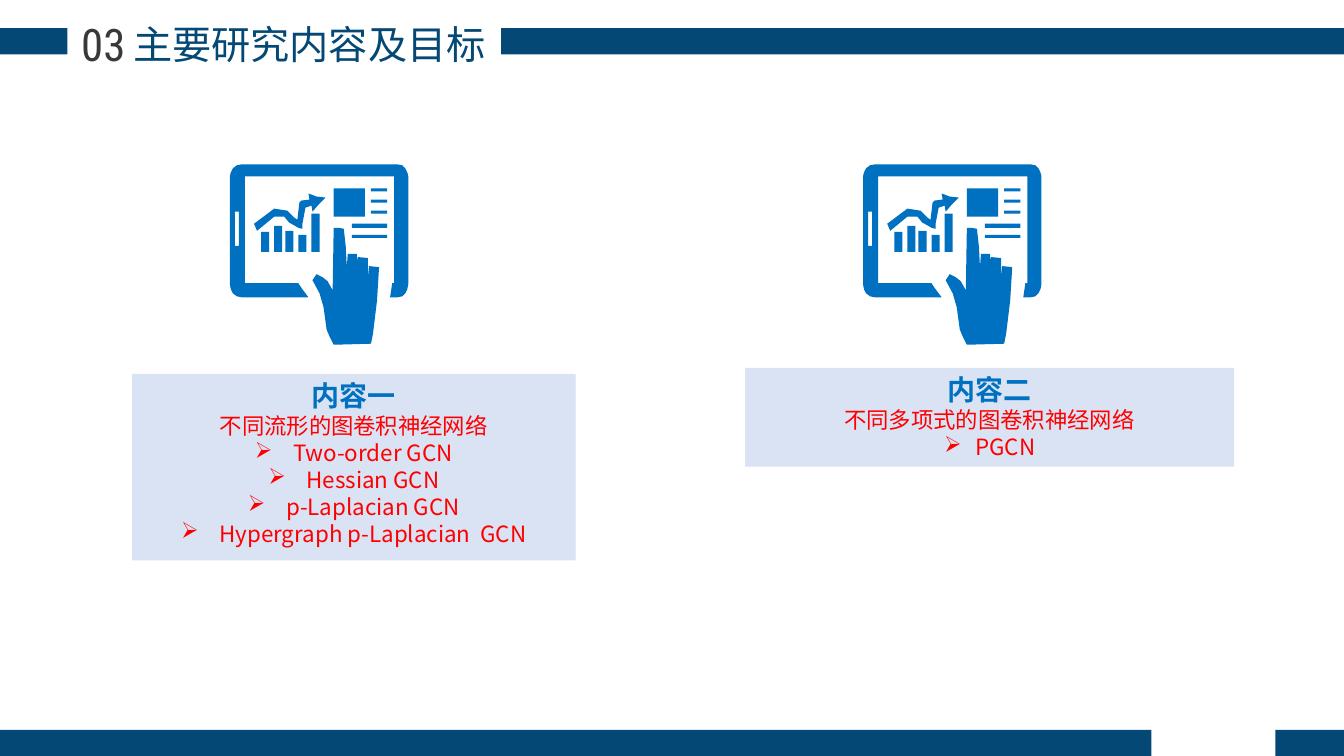
from lxml import etree
from pptx import Presentation
from pptx import util as u
from pptx.dml.color import RGBColor
from pptx.enum import shapes, text
from pptx.oxml.ns import qn

CJK, CONDENSED = "Noto Sans CJK SC", "Roboto Condensed"
NAVY, BLUE, PALE, RED, GREY = "044875", "0070C0", "DAE3F3", "FF0000", "3B3838"

TITLE = ("主要研究内容及目标", (1.22, 0.15, 3.7, 0.57), dict(size=28, name=CJK, color=NAVY))
NUMBER = ("03", (0.63, 0.11, 0.79, 0.64), dict(size=32, name=CONDENSED, color=GREY))
BARS = [(0, 0.28, 0.67, 0.26), (4.97, 0.28, 8.36, 0.26),
        (12.65, 7.24, 0.68, 0.26), (0, 7.24, 11.42, 0.26)]

TOPICS = [
    dict(heading="内容一", subject="不同流形的图卷积神经网络",
         models=["Two-order GCN", "Hessian GCN", "p-Laplacian GCN",
                 "Hypergraph p-Laplacian  GCN"],
         box=(1.31, 3.71, 4.4, 1.85), indent=0.38, icon_left=2.28),
    dict(heading="内容二", subject="不同多项式的图卷积神经网络", models=["PGCN"],
         box=(7.39, 3.65, 4.85, 0.98), indent=0.31, icon_left=8.56),
]
HEADING = dict(size=20, name=CJK, color=BLUE, bold=True)
DETAIL = dict(size=16, name=CJK, color=RED, bold=False)
LINE_RATIO = 1.2

# Tablet icon, in hundredths of an inch from its top left corner
ICON_TOP = 1.63
FRAME = [(12, 0), (166, 0), (171, 1), (174, 4), (176, 8), (177, 12), (177, 119),
         (176, 124), (174, 128), (171, 131), (166, 132), (159, 132), (161, 118),
         (163, 118), (163, 12), (15, 12), (15, 118), (68, 118), (72, 124), (78, 132),
         (12, 132), (7, 131), (3, 128), (1, 124), (0, 119), (0, 12), (1, 8), (3, 4), (7, 1)]
TREND_ARROW = [(24, 59), (27, 66), (44, 52), (54, 52), (59, 58), (61, 59), (68, 63),
               (72, 64), (72, 59), (75, 43), (81, 41), (82, 47), (88, 40), (95, 33),
               (86, 32), (78, 29), (79, 35), (71, 36), (69, 38), (67, 55), (64, 53),
               (58, 47), (57, 46), (44, 44)]
HAND = [(116, 102), (115, 82), (113, 64), (108, 63), (103, 63), (102, 125), (97, 116),
        (92, 112), (86, 109), (82, 115), (89, 128), (93, 142), (96, 164), (99, 171),
        (103, 179), (140, 178), (142, 168), (146, 135), (148, 102), (138, 101),
        (137, 112), (137, 93), (127, 92), (126, 96), (126, 89), (117, 89)]
CHART_BOTTOM, COLUMN_WIDTH = 87, 8
COLUMN_TOPS = {31: 67, 44: 61, 55: 66, 68: 70, 81: 49}
PANELS = [(5, 47, 4, 34), (103, 24, 31, 28), (121, 59, 35, 4), (121, 70, 35, 3)]
PANELS += [(140, top, 16, 3) for top in (24, 35, 46)]
PANELS += [(left, top, COLUMN_WIDTH, CHART_BOTTOM - top) for left, top in COLUMN_TOPS.items()]


def rgb(value):
    return RGBColor.from_string(value)


def inches(box):
    return [u.Inches(length) for length in box]


def paint(shape, color):
    shape.shadow.inherit = False
    shape.fill.solid()
    shape.fill.fore_color.rgb = rgb(color)
    shape.line.fill.background()


def add_block(slide, box, color):
    block = slide.shapes.add_shape(shapes.MSO_SHAPE.RECTANGLE, *inches(box))
    paint(block, color)
    return block


def write(paragraph, words, style, align=text.PP_ALIGN.CENTER):
    paragraph.alignment = align
    run = paragraph.add_run()
    run.text = words
    for key, value in style.items():
        if key == "color":
            run.font.color.rgb = rgb(value)
        else:
            setattr(run.font, key, u.Pt(value) if key == "size" else value)
    east_asian = etree.SubElement(run.font._element, qn("a:ea"))
    east_asian.set("typeface", style["name"])


def set_frame(frame, **changes):
    settings = dict(word_wrap=True, auto_size=text.MSO_AUTO_SIZE.NONE,
                    vertical_anchor=text.MSO_ANCHOR.MIDDLE) | changes
    for key, value in settings.items():
        setattr(frame, key, value)


def add_bullet(paragraph, indent):
    properties = paragraph._p.get_or_add_pPr()
    properties.set("marL", str(u.Inches(indent)))
    properties.set("indent", str(-u.Inches(indent)))
    etree.SubElement(properties, qn("a:buChar")).set("char", "➢")


def add_topic(slide, topic):
    frame = add_block(slide, topic["box"], PALE).text_frame
    set_frame(frame, vertical_anchor=text.MSO_ANCHOR.TOP)
    lines = [(topic["heading"], HEADING), (topic["subject"], DETAIL)]
    lines += [(model, DETAIL) for model in topic["models"]]
    for index, (words, style) in enumerate(lines):
        paragraph = frame.add_paragraph() if index else frame.paragraphs[0]
        paragraph.line_spacing = u.Pt(style["size"] * LINE_RATIO)
        if index > 1:
            add_bullet(paragraph, topic["indent"])
        write(paragraph, words, style)


def add_tablet(slide, left):
    rectangles = [[(x, y), (x + w, y), (x + w, y + h), (x, y + h)] for x, y, w, h in PANELS]
    outlines = [FRAME, TREND_ARROW, HAND] + rectangles
    builder = slide.shapes.build_freeform(*FRAME[0], scale=u.Inches(1) / 100)
    for index, (start, *rest) in enumerate(outlines):
        if index:
            builder.move_to(*start)
        builder.add_line_segments(rest, close=True)
    paint(builder.convert_to_shape(u.Inches(left), u.Inches(ICON_TOP)), BLUE)


def main():
    prs = Presentation()
    prs.slide_width, prs.slide_height = u.Inches(13.33), u.Inches(7.5)
    slide = prs.slides.add_slide(prs.slide_layouts[5])

    for bar in BARS:
        add_block(slide, bar, NAVY)

    words, box, style = TITLE
    title = slide.shapes.title
    title.left, title.top, title.width, title.height = inches(box)
    set_frame(title.text_frame, margin_top=0, margin_bottom=0)
    write(title.text_frame.paragraphs[0], words, style, text.PP_ALIGN.LEFT)

    words, box, style = NUMBER
    number = slide.shapes.add_textbox(*inches(box))
    set_frame(number.text_frame)
    write(number.text_frame.paragraphs[0], words, style)

    for topic in TOPICS:
        add_topic(slide, topic)
        add_tablet(slide, topic["icon_left"])

    prs.save("out.pptx")


if __name__ == "__main__":
    main()
